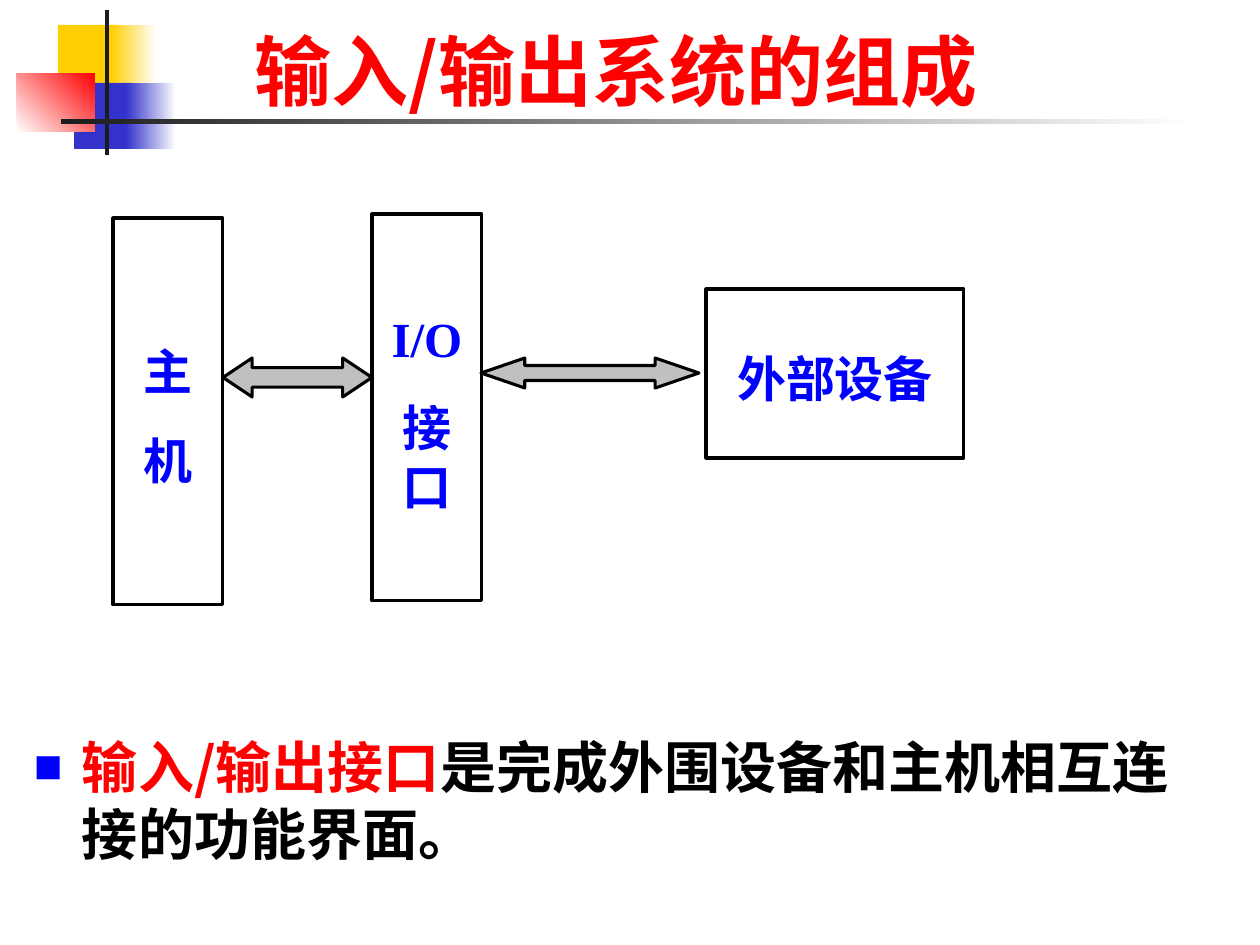
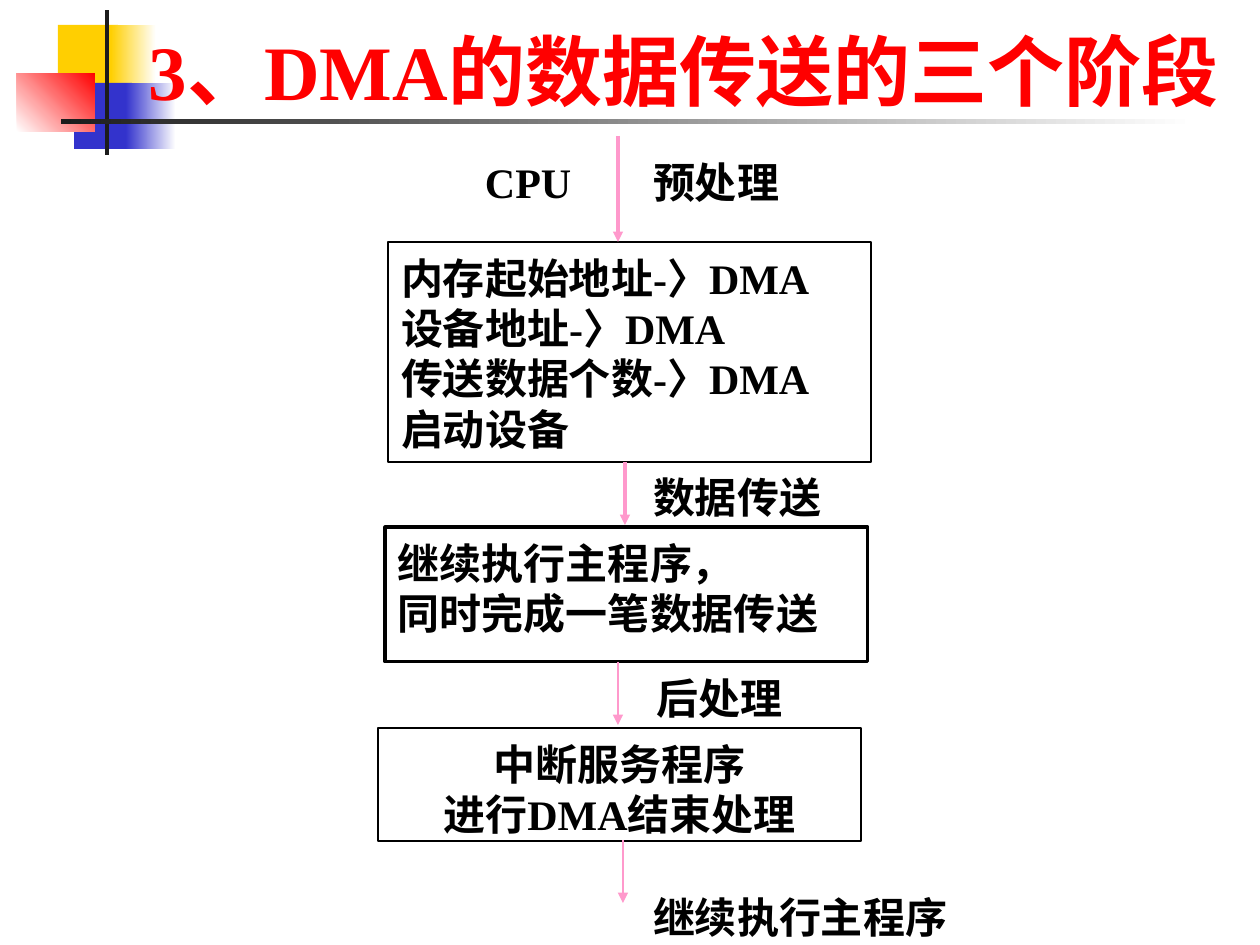
"""Build two slides on the I/O system and the three phases of a DMA transfer."""
from dataclasses import dataclass

from lxml.etree import SubElement
from pptx import Presentation
from pptx.dml.color import RGBColor
from pptx.enum.shapes import MSO_CONNECTOR as CONN, MSO_SHAPE as SHAPE
from pptx.enum.text import MSO_ANCHOR as ANCHOR, MSO_AUTO_SIZE as AUTO, PP_ALIGN as ALIGN
from pptx.oxml.ns import qn
from pptx.util import Emu, Inches, Pt


@dataclass(frozen=True)
class Theme:
    """Colours, fonts and type sizes."""
    red: str = "FF0000"
    blue: str = "0000FF"
    black: str = "000000"
    white: str = "FFFFFF"
    ink: str = "1C1C1C"
    yellow: str = "FFCF01"
    navy: str = "3333CC"
    grey: str = "C0C0C0"
    pink: str = "FF99CC"
    serif: str = "Times New Roman"
    cjk: str = "Noto Sans CJK SC"
    title: int = 44
    body: int = 32
    block: int = 28
    flow: int = 24
    leading: float = 1.2


T = Theme()
DPI = 126
INSETS = dict(left=13, top=10, right=13, bottom=2)

DECOR = [
    ((58, 25, 60, 66), (T.yellow,), 0),
    ((111, 25, 45, 66), (T.yellow, T.white), 0),
    ((74, 83, 58, 66), (T.navy,), 0),
    ((126, 83, 50, 66), (T.navy, T.white), 0),
    ((17, 73, 78, 59), (T.white, T.red), 45),
    ((105, 10, 4, 145), (T.ink,), 0),
    ((61, 119, 1134, 5), (T.ink, T.white), 0),
]
TITLE_AT = (0, 11, 1232, 105)

IO_TITLE = "输入/输出系统的组成"
IO_BLOCKS = [
    ((113, 218, 110, 387), ["主", "机"]),
    ((372, 214, 110, 387), ["I/O", "接口"]),
    ((706, 289, 258, 169), ["外部设备"]),
]
IO_ARROWS = [((223, 358, 149, 39), 0.75), ((481, 358, 218, 30), 1.46)]
IO_BODY_AT = (21, 722, 1213, 151)
IO_BODY = [("输入/输出接口", T.red), ("是完成外围设备和主机相互连接的功能界面。", T.black)]

DMA_TITLE = "3、DMA的数据传送的三个阶段"
DMA_BOXES = [
    ((388, 242, 483, 220), 0.75, ALIGN.LEFT,
     ["内存起始地址-〉DMA", "设备地址-〉DMA", "传送数据个数-〉DMA", "启动设备"]),
    ((385, 527, 483, 135), 1.75, ALIGN.LEFT, ["继续执行主程序，", "同时完成一笔数据传送"]),
    ((378, 728, 483, 113), 0.75, ALIGN.CENTER, ["中断服务程序", "进行DMA结束处理"]),
]
DMA_LABELS = [
    ((472, 147, 136, 63), "CPU"),
    ((640, 147, 158, 63), "预处理"),
    ((640, 462, 210, 63), "数据传送"),
    ((644, 663, 210, 63), "后处理"),
    ((640, 882, 420, 63), "继续执行主程序"),
]
DMA_ARROWS = [(618, 136, 242, 1.75), (625, 462, 525, 1.75),
              (618, 662, 725, 1.5), (623, 840, 903, 1.5)]


def px(*values):
    return [Emu(round(v * Inches(1) / DPI)) for v in values]


def rgb(code):
    return RGBColor.from_string(code)


def add_run(p, text, size, color, font):
    r = p.add_run()
    r.text = text
    r.font.size, r.font.bold, r.font.name = Pt(size), True, font
    r.font.color.rgb = rgb(color)
    rPr = r._r.get_or_add_rPr()
    rPr.set("lang", "zh-CN")
    SubElement(rPr, qn("a:ea")).set("typeface", T.cjk)


def write(sp, paragraphs, size, font=T.serif, align=ALIGN.LEFT, anchor=ANCHOR.TOP, gap=0):
    tf = sp.text_frame
    tf.word_wrap, tf.auto_size, tf.vertical_anchor = True, AUTO.NONE, anchor
    for side, inset in INSETS.items():
        setattr(tf, f"margin_{side}", px(inset)[0])
    for i, runs in enumerate(paragraphs):
        p = tf.add_paragraph() if i else tf.paragraphs[0]
        p.alignment, p.line_spacing = align, Pt(size * T.leading)
        p.space_before = Pt(gap if i else 0)
        for text, color in runs:
            add_run(p, text, size, color, font)


def lines(texts, color):
    return [[(text, color)] for text in texts]


def place(sp, at):
    sp.left, sp.top, sp.width, sp.height = px(*at)


def add_shape(s, kind, at, fill=None, line_width=None):
    sp = s.shapes.add_shape(kind, *px(*at))
    sp.shadow.inherit = False
    if fill:
        sp.fill.solid()
        sp.fill.fore_color.rgb = rgb(fill)
    else:
        sp.fill.background()
    if line_width:
        sp.line.color.rgb = rgb(T.black)
        sp.line.width = Pt(line_width)
    else:
        sp.line.fill.background()
    return sp


def decorate_master(prs, s):
    tree = prs.slide_master.shapes.element
    for i, (at, colors, angle) in enumerate(DECOR):
        sp = add_shape(s, SHAPE.RECTANGLE, at, colors[0])
        if len(colors) > 1:
            sp.fill.gradient()
            sp.fill.gradient_angle = angle
            for stop, color in zip(sp.fill.gradient_stops, colors):
                stop.color.rgb = rgb(color)
        sp.name = f"Decor {i + 1}"
        sp.element.nvSpPr.cNvPr.set("id", str(100 + i))
        tree.append(sp.element)


def add_title(s, text, font, align):
    sp = s.shapes.title
    place(sp, TITLE_AT)
    write(sp, lines([text], T.red), T.title, font, align, ANCHOR.BOTTOM)
    sp.text_frame.margin_bottom = 0


def add_bullet(p):
    pPr = p._p.get_or_add_pPr()
    hang = px(48)[0]
    pPr.set("marL", str(hang))
    pPr.set("indent", str(-hang))
    SubElement(SubElement(pPr, qn("a:buClr")), qn("a:srgbClr")).set("val", T.blue)
    SubElement(pPr, qn("a:buSzPct")).set("val", "85000")
    SubElement(pPr, qn("a:buChar")).set("char", "■")


def add_down_arrow(s, x, top, bottom, width):
    c = s.shapes.add_connector(CONN.STRAIGHT, *px(x, top, x, bottom))
    c.line.color.rgb = rgb(T.pink)
    c.line.width = Pt(width)
    spPr = c.element.spPr
    SubElement(spPr.find(qn("a:ln")), qn("a:tailEnd")).set("type", "triangle")
    SubElement(spPr, qn("a:effectLst"))


def build_io_slide(s):
    add_title(s, IO_TITLE, T.cjk, ALIGN.CENTER)
    body = s.placeholders[1]
    place(body, IO_BODY_AT)
    write(body, [IO_BODY], T.body, T.cjk)
    add_bullet(body.text_frame.paragraphs[0])
    for at, texts in IO_BLOCKS:
        sp = add_shape(s, SHAPE.RECTANGLE, at, line_width=1.75)
        write(sp, lines(texts, T.blue), T.block, align=ALIGN.CENTER,
              anchor=ANCHOR.MIDDLE, gap=17.5)
    for at, head in IO_ARROWS:
        sp = add_shape(s, SHAPE.LEFT_RIGHT_ARROW, at, T.grey, 1.75)
        sp.adjustments[0], sp.adjustments[1] = 0.5, head


def build_dma_slide(s):
    add_title(s, DMA_TITLE, T.serif, ALIGN.RIGHT)
    for at, width, align, texts in DMA_BOXES:
        sp = add_shape(s, SHAPE.RECTANGLE, at, T.white, width)
        write(sp, lines(texts, T.black), T.flow, align=align)
    for at, text in DMA_LABELS:
        write(s.shapes.add_textbox(*px(*at)), lines([text], T.black), T.flow)
    for arrow in DMA_ARROWS:
        add_down_arrow(s, *arrow)


def main():
    prs = Presentation()
    prs.slide_width, prs.slide_height = Inches(10), Inches(7.5)
    io_slide = prs.slides.add_slide(prs.slide_layouts[1])
    dma_slide = prs.slides.add_slide(prs.slide_layouts[5])
    decorate_master(prs, io_slide)
    build_io_slide(io_slide)
    build_dma_slide(dma_slide)
    prs.save("out.pptx")


if __name__ == "__main__":
    main()
